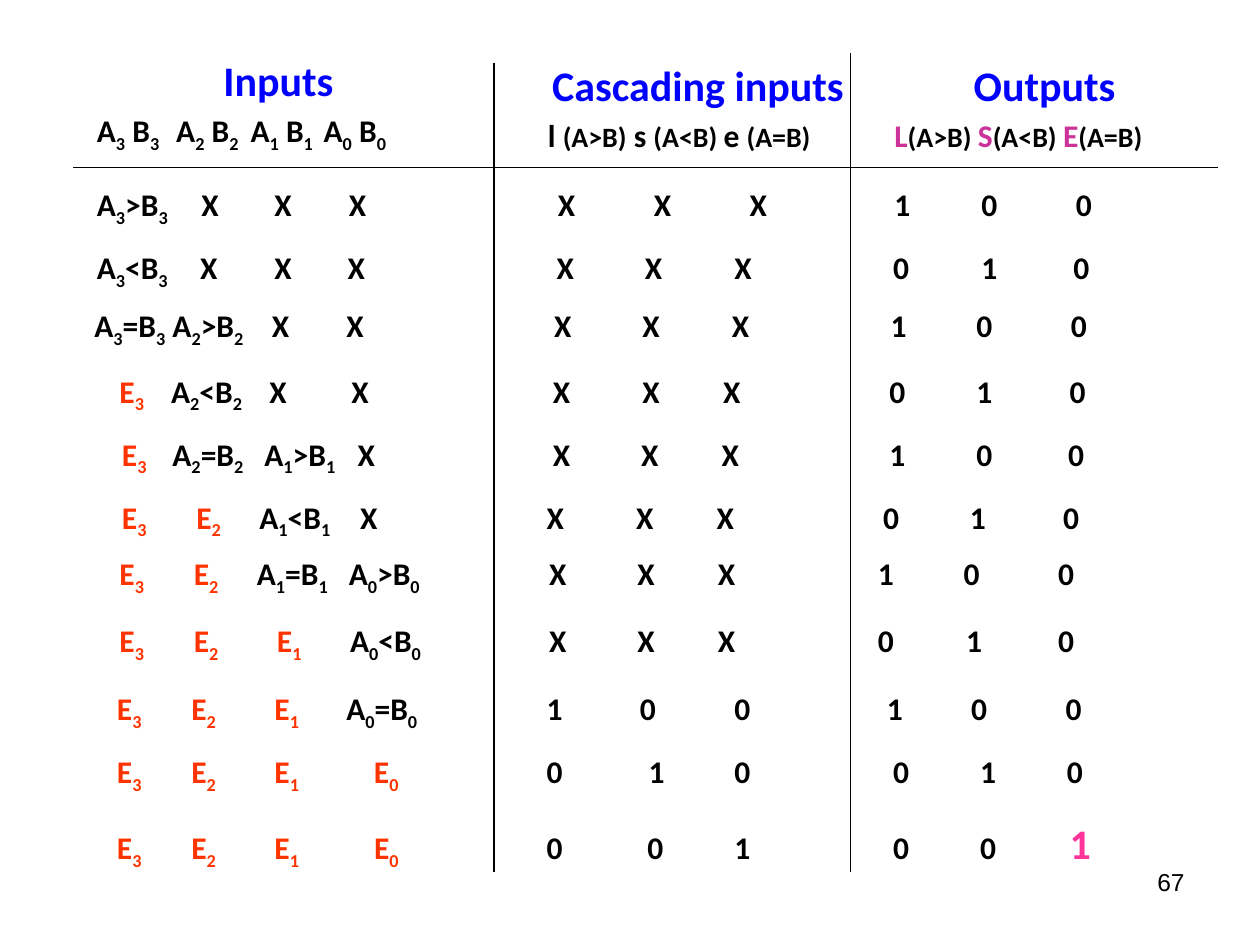
import pptx
import pptx.util
import pptx.dml.color
import pptx.enum.shapes
import pptx.enum.text
import pptx.oxml.ns
import lxml.etree

Inches = pptx.util.Inches
Pt = pptx.util.Pt
Align = pptx.enum.text.PP_ALIGN

THEME = {
    "black": "000000", "blue": "0000FF", "red": "FF3300", "plum": "CC3399", "pink": "FF3399",
    "title": {"name": "Calibri", "size": Pt(24), "bold": True},
    "body": {"name": "Calibri", "size": Pt(18), "bold": True},
    "condition": {"name": "Calibri", "size": Pt(16), "bold": True},
    "number": {"name": "Arial", "size": Pt(14), "bold": False},
}
INSET = 0.1


def add_frame(left, top, width, height):
    frame = slide.shapes.add_textbox(Inches(left), Inches(top), Inches(width), Inches(height)).text_frame
    frame.word_wrap = True
    frame.auto_size = pptx.enum.text.MSO_AUTO_SIZE.SHAPE_TO_FIT_TEXT
    return frame


def write(paragraph, marked_text, style="body", color="black", left=0, stops=()):
    if stops:
        tab_list = lxml.etree.SubElement(paragraph._p.get_or_add_pPr(), pptx.oxml.ns.qn("a:tabLst"))
        for stop in stops:
            lxml.etree.SubElement(tab_list, pptx.oxml.ns.qn("a:tab"),
                                  pos=str(Inches(stop - left - INSET)), algn="l")
    base, *tails = marked_text.split("_")
    pieces = [(base, False)]
    for tail in tails:
        pieces += [(tail[0], True), (tail[1:], False)]
    for text, lowered in pieces:
        if text:
            run = paragraph.add_run()
            run.text = text
            for attribute, value in THEME[style].items():
                setattr(run.font, attribute, value)
            run.font.color.rgb = pptx.dml.color.RGBColor.from_string(THEME[color])
            if lowered:
                run.font._element.set("baseline", "-25000")


deck = pptx.Presentation()
deck.slide_width, deck.slide_height = Inches(10), Inches(7.5)
slide = deck.slides.add_slide(deck.slide_layouts[6])

page_number = add_frame(7.17, 6.83, 2.33, 0.52).paragraphs[0]
page_number.alignment = Align.RIGHT
write(page_number, "67", "number")

headings = [
    (0.67, 0.38, 3.08, "Inputs", [1.4, 1.99, 2.57],
     [("A_3 B_3\tA_2 B_2\tA_1 B_1\tA_0 B_0", "body", "black")]),
    (4.25, 0.42, 2.58, "Cascading inputs", [],
     [("l ", "body", "black"), ("(A>B)", "condition", "black"), (" s ", "body", "black"),
      ("(A<B) ", "condition", "black"), ("e ", "body", "black"), ("(A=B)", "condition", "black")]),
    (7, 0.42, 2.58, "Outputs", [],
     [("L", "body", "plum"), ("(A>B) ", "condition", "black"), ("S", "body", "plum"),
      ("(A<B) ", "condition", "black"), ("E", "body", "plum"), ("(A=B)", "condition", "black")]),
]
for left, top, width, title, stops, signals in headings:
    frame = add_frame(left, top, width, 0.86)
    frame.paragraphs[0].alignment = Align.CENTER
    write(frame.paragraphs[0], title, "title", "blue")
    signal_line = frame.add_paragraph()
    signal_line.space_before = Pt(3.6)
    for index, (text, style, color) in enumerate(signals):
        write(signal_line, text, style, color, left, stops if index == 0 else ())

truth_rows = [
    (0.67, 1.42, 8.75, "A_3>B_3 X X X X X X 1 0 0", [1.6, 2.18, 2.77, 4.43, 5.19, 5.95, 7.1, 7.79, 8.54]),
    (0.67, 1.92, 8.67, "A_3<B_3 X X X X X X 0 1 0", [1.59, 2.18, 2.76, 4.42, 5.12, 5.83, 7.09, 7.79, 8.52]),
    (0.65, 2.38, 8.68, "A_3=B_3 A_2>B_2 X X X X X 1 0 0", [1.37, 2.16, 2.75, 4.4, 5.1, 5.81, 7.07, 7.75, 8.5]),
    (0.75, 2.9, 8.5, "E_3 A_2<B_2 X X X X X 0 1 0", [0.95, 1.36, 2.14, 2.79, 4.39, 5.1, 5.74, 7.06, 7.75, 8.49]),
    (0.77, 3.4, 8.5, "E_3 A_2=B_2 A_1>B_1 X X X X 1 0 0", [0.97, 1.37, 2.1, 2.84, 4.39, 5.09, 5.73, 7.06, 7.75, 8.48]),
    (0.77, 3.9, 8.5, "E_3 E_2 A_1<B_1 X X X X 0 1 0", [0.97, 1.56, 2.06, 2.86, 4.34, 5.05, 5.69, 7.01, 7.7, 8.44]),
    (0.75, 4.35, 8.5, "E_3 E_2 A_1=B_1 A_0>B_0 X X X 1 0 0", [0.95, 1.54, 2.04, 2.77, 4.36, 5.06, 5.7, 6.97, 7.65, 8.4]),
    (0.75, 4.88, 8.5, "E_3 E_2 E_1 A_0<B_0 X X X 0 1 0", [0.95, 1.54, 2.2, 2.78, 4.36, 5.06, 5.7, 6.97, 7.67, 8.4]),
    (0.73, 5.42, 8.5, "E_3 E_2 E_1 A_0=B_0 1 0 0 1 0 0", [0.93, 1.52, 2.18, 2.75, 4.34, 5.08, 5.83, 7.04, 7.71, 8.46]),
    (0.73, 5.92, 8.5, "E_3 E_2 E_1 E_0 0 1 0 0 1 0", [0.93, 1.52, 2.18, 2.97, 4.34, 5.15, 5.83, 7.09, 7.78, 8.47]),
    (0.73, 6.44, 8.69, "E_3 E_2 E_1 E_0 0 0 1 0 0 1", [0.93, 1.52, 2.18, 2.97, 4.34, 5.14, 5.83, 7.09, 7.78, 8.49]),
]
for left, top, width, states, stops in truth_rows:
    equal_row = (left, top, width, states, stops) == truth_rows[-1]
    row_line = add_frame(left, top, width, 0.5 if equal_row else 0.4).paragraphs[0]
    cells = states.split()
    for column, cell in enumerate(cells):
        gap = "\t" if column or cell.startswith("E") else ""
        highlighted = equal_row and column == len(cells) - 1
        color = "pink" if highlighted else "red" if cell.startswith("E") else "black"
        write(row_line, gap + cell, "title" if highlighted else "body", color, left,
              stops if column == 0 else ())

for x1, y1, x2, y2 in [(0.58, 1.33, 9.67, 1.33), (3.92, 0.5, 3.92, 6.92), (6.75, 0.42, 6.75, 6.92)]:
    rule = slide.shapes.add_connector(pptx.enum.shapes.MSO_CONNECTOR.STRAIGHT,
                                      Inches(x1), Inches(y1), Inches(x2), Inches(y2))
    rule.line.width = Pt(0.75)
    rule.line.color.rgb = pptx.dml.color.RGBColor.from_string(THEME["black"])
    lxml.etree.SubElement(rule._element.spPr, pptx.oxml.ns.qn("a:effectLst"))

deck.save("out.pptx")
